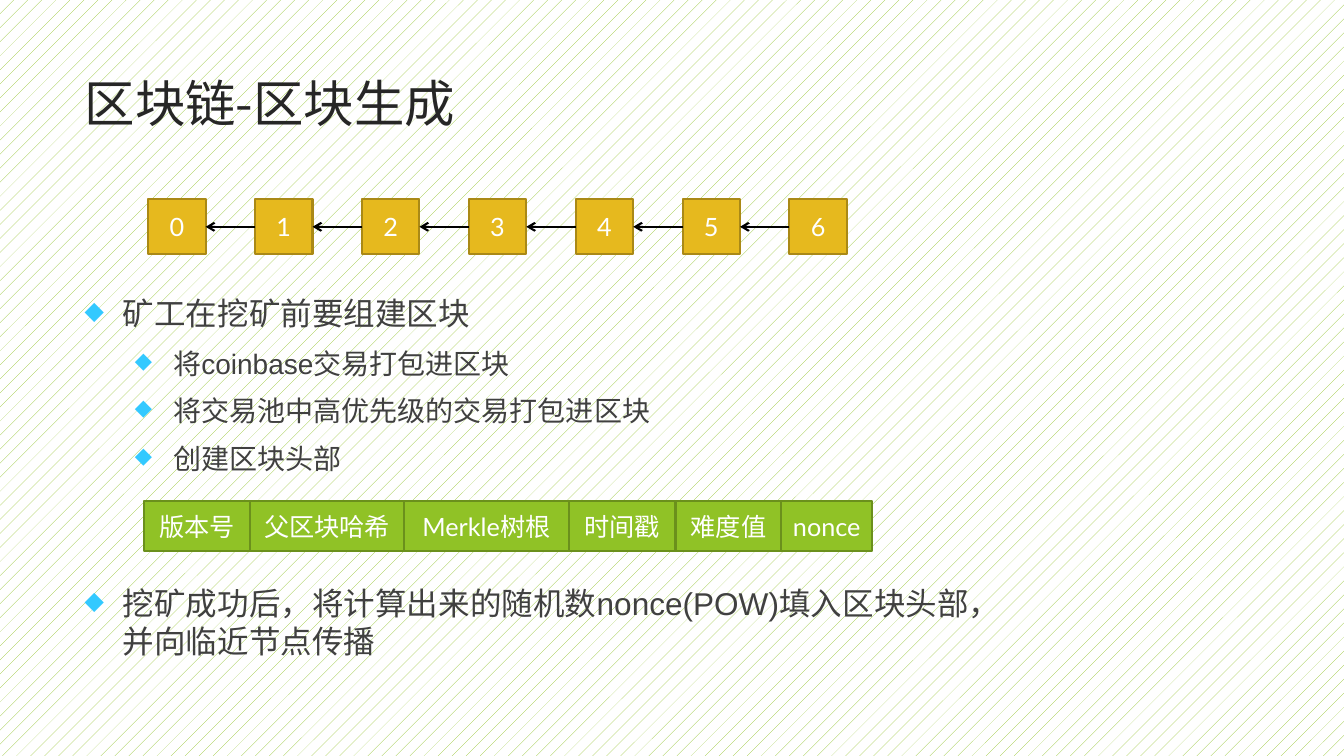
import pptx
import pptx.dml.color
import pptx.enum.dml
import pptx.enum.shapes
import pptx.enum.text
import pptx.oxml
import pptx.oxml.ns
import pptx.util

RGB = pptx.dml.color.RGBColor
WHITE = RGB(0xFF, 0xFF, 0xFF)
BLACK = RGB(0x00, 0x00, 0x00)
TITLE_INK = RGB(0x26, 0x26, 0x26)
BODY_INK = RGB(0x40, 0x40, 0x40)
BULLET_BLUE = RGB(0x33, 0xC9, 0xFF)
GOLD, GOLD_EDGE = RGB(0xE6, 0xB9, 0x1E), RGB(0xAA, 0x89, 0x16)
GREEN, GREEN_EDGE = RGB(0x90, 0xC2, 0x26), RGB(0x6B, 0x90, 0x1C)

EMU_PER_PX = 9144  # 100 px to the inch
CJK_FONT = "Noto Sans CJK JP"

# level, space before in points, text
BODY = [
    (0, 0, "矿工在挖矿前要组建区块"),
    (1, 10, "将coinbase交易打包进区块"),
    (1, 10, "将交易池中高优先级的交易打包进区块"),
    (1, 10, "创建区块头部"),
    (0, 78, "挖矿成功后，将计算出来的随机数nonce(POW)填入区块头部，并向临近节点传播"),
]
HEADER_FIELDS = [("版本号", 105), ("父区块哈希", 153), ("Merkle树根", 163),
                 ("时间戳", 106), ("难度值", 105), ("nonce", 90)]
BLOCK_COUNT, BLOCK_LEFT, BLOCK_TOP, BLOCK_STEP = 7, 147, 197, 106
BLOCK_WIDTH, BLOCK_HEIGHT = 57, 55


def px(*lengths):
    return [pptx.util.Emu(length * EMU_PER_PX) for length in lengths]


def add_xml(parent, tag, **attributes):
    child = pptx.oxml.ns.qn(tag)
    element = parent.makeelement(child, attributes)
    parent.append(element)
    return element


class Slide:
    def __init__(self, deck):
        self.page = deck.slides.add_slide(deck.slide_layouts[5])
        fill = self.page.background.fill
        fill.patterned()
        fill.pattern = pptx.enum.dml.MSO_PATTERN.PERCENT_5
        fill.fore_color.rgb = GREEN
        fill.back_color.rgb = WHITE

    def style(self, para, text, size, latin, color):
        """Fill a paragraph and set its Latin and East Asian fonts."""
        span = para.add_run()
        span.text = text
        para.font.size = pptx.util.Pt(size)
        para.font.color.rgb = color
        para.font.name = latin
        for font in (para.font, span.font):
            font.name = latin
        add_xml(span.font._element, "a:ea", typeface=CJK_FONT)

    def title(self, text, left, top, width, height):
        box = self.page.shapes.title
        box.left, box.top, box.width, box.height = px(left, top, width, height)
        frame = box.text_frame
        frame.auto_size = pptx.enum.text.MSO_AUTO_SIZE.NONE
        frame.vertical_anchor = pptx.enum.text.MSO_ANCHOR.TOP
        para = frame.paragraphs[0]
        para.alignment = pptx.enum.text.PP_ALIGN.LEFT
        self.style(para, text, 36, CJK_FONT, TITLE_INK)

    def bullets(self, items, left, top, width, height):
        frame = self.page.shapes.add_textbox(*px(left, top, width, height)).text_frame
        frame.word_wrap = True
        for index, (level, space, text) in enumerate(items):
            para = frame.add_paragraph() if index else frame.paragraphs[0]
            para.level = level
            para.space_before = pptx.util.Pt(space)
            para.line_spacing = pptx.util.Pt((27, 24)[level])
            self.style(para, text, (22.5, 20)[level], "Arial", BODY_INK)
            props = para._p.get_or_add_pPr()
            hang, indent = px(38, 38 + 50 * level)
            props.set("marL", str(indent))
            props.set("indent", str(-hang))
            # Bullet elements come before the default run properties.
            run_defaults = props.find(pptx.oxml.ns.qn("a:defRPr"))
            bullet_color = add_xml(props, "a:buClr")
            add_xml(bullet_color, "a:srgbClr", val=str(BULLET_BLUE))
            add_xml(props, "a:buSzPct", val="80000")
            add_xml(props, "a:buChar", char="◆")
            props.append(run_defaults)

    def cell(self, text, left, top, width, height, fill, edge):
        box = self.page.shapes.add_shape(
            pptx.enum.shapes.MSO_SHAPE.RECTANGLE, *px(left, top, width, height))
        box.shadow.inherit = False
        box.fill.solid()
        box.fill.fore_color.rgb = fill
        box.line.color.rgb = edge
        box.line.width = pptx.util.Pt(1.5)
        frame = box.text_frame
        frame.margin_left = frame.margin_right = 0
        frame.vertical_anchor = pptx.enum.text.MSO_ANCHOR.MIDDLE
        para = frame.paragraphs[0]
        para.alignment = pptx.enum.text.PP_ALIGN.CENTER
        self.style(para, text, 18, "Lato", WHITE)

    def arrow(self, start_x, end_x, y):
        link = self.page.shapes.add_connector(
            pptx.enum.shapes.MSO_CONNECTOR.STRAIGHT, *px(start_x, y, end_x, y))
        link.line.color.rgb = BLACK
        link.line.width = pptx.util.Pt(1.5)
        add_xml(link.line._get_or_add_ln(), "a:tailEnd", type="arrow")
        add_xml(link._element.spPr, "a:effectLst")


def main():
    deck = pptx.Presentation()
    deck.slide_width, deck.slide_height = px(1333, 750)
    slide = Slide(deck)
    slide.title("区块链-区块生成", 74, 67, 940, 144)
    slide.bullets(BODY, 74, 287, 940, 402)

    block_lefts = [BLOCK_LEFT + BLOCK_STEP * number for number in range(BLOCK_COUNT)]
    for number, left in enumerate(block_lefts):
        slide.cell(str(number), left, BLOCK_TOP, BLOCK_WIDTH, BLOCK_HEIGHT, GOLD, GOLD_EDGE)
    for previous, left in zip(block_lefts, block_lefts[1:]):
        slide.arrow(left, previous + BLOCK_WIDTH, 225)

    left = 143
    for name, width in HEADER_FIELDS:
        slide.cell(name, left, 497, width, 50, GREEN, GREEN_EDGE)
        left += width

    deck.save("out.pptx")


if __name__ == "__main__":
    main()
